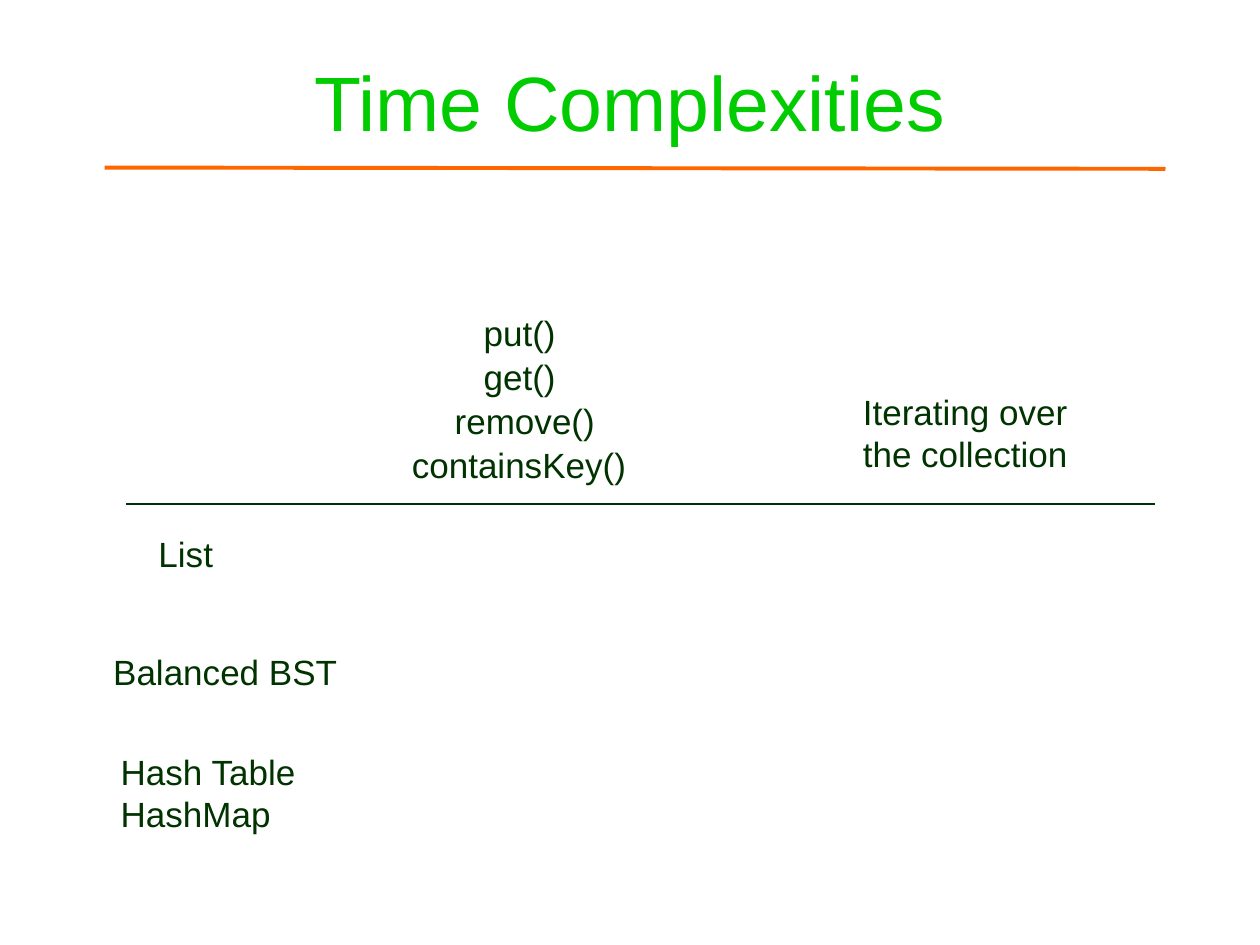
from dataclasses import dataclass

from pptx import Presentation
from pptx.dml.color import RGBColor
from pptx.enum.shapes import MSO_CONNECTOR
from pptx.enum.text import MSO_ANCHOR, MSO_AUTO_SIZE, PP_ALIGN
from pptx.oxml.ns import qn
from pptx.slide import Slide
from pptx.util import Inches, Pt
from lxml.etree import SubElement

GREEN = RGBColor(0x00, 0xCC, 0x00)
DARK_GREEN = RGBColor(0x00, 0x33, 0x00)
ORANGE = RGBColor(0xFF, 0x66, 0x00)
FONT = "Arial"

WIDTH, HEIGHT = Inches(10), Inches(7.5)
COLUMNS, ROWS = 100, 75
PADDING_ROWS = 1.1
LINE_ROWS = 3.3


@dataclass(frozen=True)
class Label:
    lines: tuple[str, ...]
    column: float
    row: float
    columns: float


@dataclass(frozen=True)
class Rule:
    start: tuple[float, float]
    end: tuple[float, float]
    color: RGBColor
    weight: float


METHODS = (
    ("put()", 37.4, 7.8),
    ("get()", 37.4, 7.8),
    ("remove()", 35.1, 13.2),
    ("containsKey()", 31.7, 19.2),
)
METHOD_TOP, METHOD_STEP = 24.2, 3.5

STRUCTURE_LABELS = (
    Label(("List",), 11.6, 41.8, 6.4),
    Label(("Balanced BST",), 8, 51.1, 20),
    Label(("Hash Table", "HashMap"), 8.6, 59.1, 16),
)
METHOD_LABELS = tuple(
    Label((name,), column, METHOD_TOP + index * METHOD_STEP, columns)
    for index, (name, column, columns) in enumerate(METHODS)
)
ITERATION_LABEL = Label(("Iterating over", "the collection"), 67.5, 30.5, 18.4)

TITLE_RULE = Rule((8.3, 13.3), (92.5, 13.4), ORANGE, 2.25)
HEADER_RULE = Rule((10, 40), (91.7, 40), DARK_GREEN, 0.75)


def across(columns: float) -> int:
    return round(WIDTH * columns / COLUMNS)


def down(rows: float) -> int:
    return round(HEIGHT * rows / ROWS)


def add_span(para, text: str, size: float, color: RGBColor) -> None:
    span = para.add_run()
    span.text = text
    span.font.name = FONT
    span.font.size = Pt(size)
    span.font.color.rgb = color


def draw_title(page: Slide, text: str) -> None:
    box = page.shapes.add_textbox(across(7.5), down(1.7), across(85), down(12.5))
    frame = box.text_frame
    frame.word_wrap = True
    frame.vertical_anchor = MSO_ANCHOR.MIDDLE
    para = frame.paragraphs[0]
    para.alignment = PP_ALIGN.CENTER
    add_span(para, text, 44, GREEN)


def draw_label(page: Slide, label: Label) -> None:
    rows = PADDING_ROWS + LINE_ROWS * len(label.lines)
    box = page.shapes.add_textbox(
        across(label.column), down(label.row), across(label.columns), down(rows)
    )
    frame = box.text_frame
    frame.word_wrap = False
    frame.auto_size = MSO_AUTO_SIZE.SHAPE_TO_FIT_TEXT
    for index, line in enumerate(label.lines):
        para = frame.add_paragraph() if index else frame.paragraphs[0]
        add_span(para, line, 20, DARK_GREEN)


def draw_rule(page: Slide, rule: Rule) -> None:
    line = page.shapes.add_connector(
        MSO_CONNECTOR.STRAIGHT,
        across(rule.start[0]), down(rule.start[1]),
        across(rule.end[0]), down(rule.end[1]),
    )
    line.line.color.rgb = rule.color
    line.line.width = Pt(rule.weight)
    SubElement(line._element.spPr, qn("a:effectLst"))


def main() -> None:
    deck = Presentation()
    deck.slide_width, deck.slide_height = WIDTH, HEIGHT
    page = deck.slides.add_slide(deck.slide_layouts[6])
    draw_title(page, "Time Complexities")
    draw_rule(page, TITLE_RULE)
    for label in STRUCTURE_LABELS:
        draw_label(page, label)
    draw_rule(page, HEADER_RULE)
    for label in (*METHOD_LABELS, ITERATION_LABEL):
        draw_label(page, label)
    deck.save("out.pptx")


if __name__ == "__main__":
    main()
